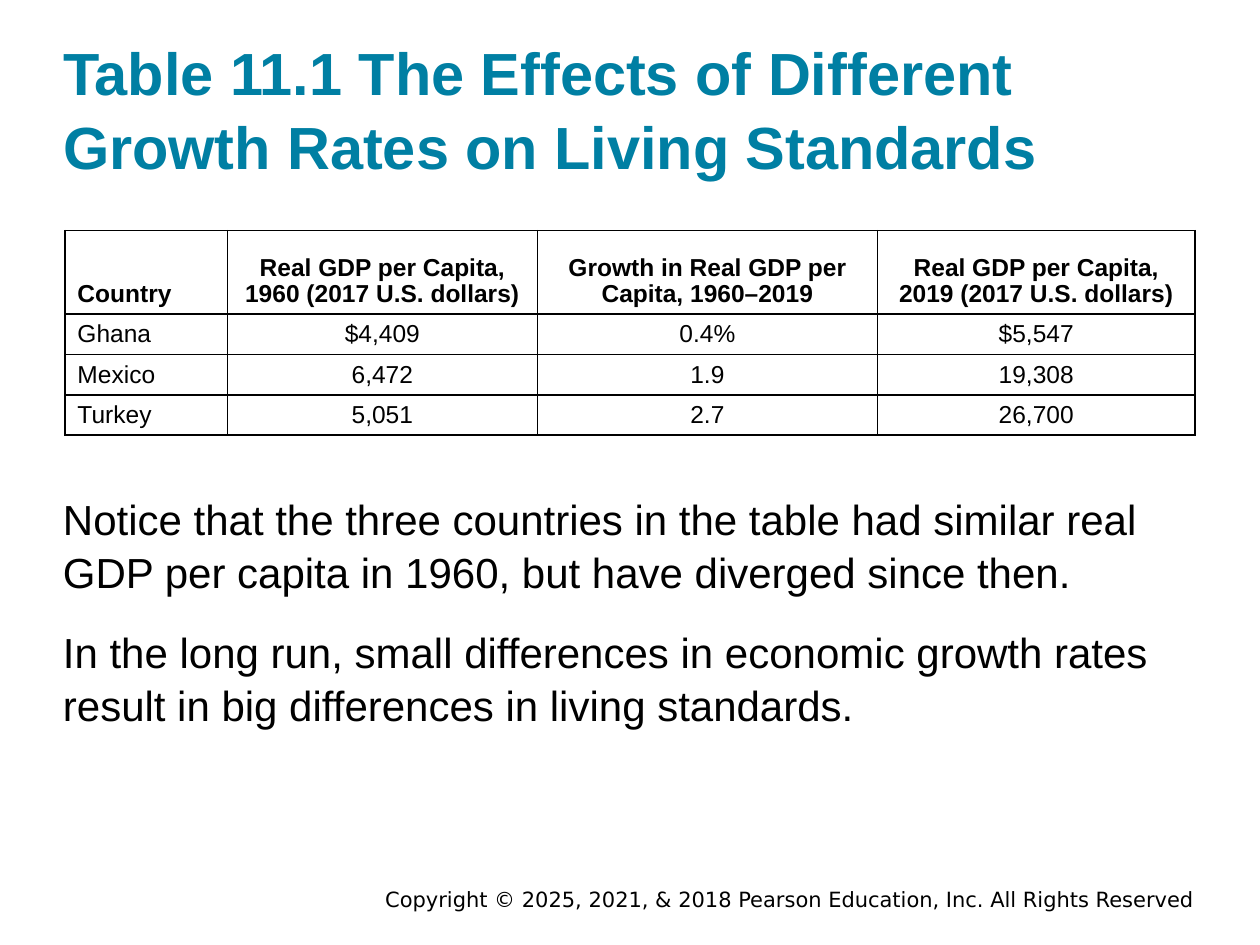
"""Build the slide comparing growth rates and living standards in three countries."""
from dataclasses import dataclass
from typing import Any

import pptx
import pptx.dml.color
import pptx.enum.text
import pptx.oxml
import pptx.oxml.ns
import pptx.util

ALIGN = pptx.enum.text.PP_ALIGN
ANCHOR = pptx.enum.text.MSO_ANCHOR
SLIDE_WIDTH = pptx.util.Inches(10)
SLIDE_HEIGHT = pptx.util.Inches(7.5)


@dataclass(frozen=True)
class TextStyle:
    size: float
    color: str
    font: str = "Arial"
    bold: bool = False
    align: Any = ALIGN.LEFT
    line_spacing: float = 1.0
    space_before: float = 0


@dataclass(frozen=True)
class Theme:
    ink: str = "000000"
    accent: str = "007FA3"
    title: TextStyle = TextStyle(34, accent, bold=True, line_spacing=1.04)
    body: TextStyle = TextStyle(24, ink, line_spacing=1.06, space_before=15)
    footer: TextStyle = TextStyle(12, ink, font="DejaVu Sans", align=ALIGN.RIGHT)
    table_size: float = 14
    header_spacing: float = 0.96
    border_width: float = 1


@dataclass(frozen=True)
class Area:
    """A rectangle in shares of the slide's width and height."""
    left: float
    top: float
    width: float
    height: float

    def lengths(self) -> tuple[int, int, int, int]:
        return (int(self.left * SLIDE_WIDTH), int(self.top * SLIDE_HEIGHT),
                int(self.width * SLIDE_WIDTH), int(self.height * SLIDE_HEIGHT))


@dataclass(frozen=True)
class CountryRow:
    country: str
    gdp_1960: str
    growth: str
    gdp_2019: str

    def texts(self) -> tuple[str, ...]:
        return self.country, self.gdp_1960, self.growth, self.gdp_2019


THEME = Theme()
TITLE_AREA = Area(0.05, 0.032, 0.9, 0.16)
TABLE_AREA = Area(0.0515, 0.244, 0.897, 0.217)
BODY_AREA = Area(0.05, 0.519, 0.884, 0.259)
FOOTER_AREA = Area(0.175, 0.937, 0.783, 0.03)
COLUMN_SHARES = (0.129, 0.246, 0.27, 0.252)
HEADER_SHARE, ROW_SHARE = 0.0885, 0.0427

TITLE = "Table 11.1 The Effects of Different Growth Rates on Living Standards"
ROWS = (
    CountryRow("Country", "Real GDP per Capita, 1960 (2017 U.S. dollars)",
               "Growth in Real GDP per Capita, 1960–2019",
               "Real GDP per Capita, 2019 (2017 U.S. dollars)"),
    CountryRow("Ghana", "$4,409", "0.4%", "$5,547"),
    CountryRow("Mexico", "6,472", "1.9", "19,308"),
    CountryRow("Turkey", "5,051", "2.7", "26,700"),
)
BODY = (
    "Notice that the three countries in the table had similar real GDP per capita in 1960, "
    "but have diverged since then.",
    "In the long run, small differences in economic growth rates result in big differences "
    "in living standards.",
)
FOOTER = "Copyright © 2025, 2021, & 2018 Pearson Education, Inc. All Rights Reserved"


def write_text(text_frame: Any, texts: tuple[str, ...], style: TextStyle) -> None:
    text_frame.text = "\n".join(texts)
    for index, paragraph in enumerate(text_frame.paragraphs):
        paragraph.alignment = style.align
        paragraph.line_spacing = style.line_spacing
        paragraph.space_before = pptx.util.Pt(style.space_before if index else 0)
        for run in paragraph.runs:
            run.font.name = style.font
            run.font.size = pptx.util.Pt(style.size)
            run.font.bold = style.bold
            run.font.color.rgb = pptx.dml.color.RGBColor.from_string(style.color)


def fill_box(shape: Any, area: Area, texts: tuple[str, ...], style: TextStyle,
             anchor: Any, margins: tuple[float, float] = (0, 0)) -> None:
    shape.left, shape.top, shape.width, shape.height = area.lengths()
    text_frame = shape.text_frame
    text_frame.word_wrap = True
    text_frame.auto_size = pptx.enum.text.MSO_AUTO_SIZE.NONE
    text_frame.vertical_anchor = anchor
    text_frame.margin_left = text_frame.margin_right = pptx.util.Inches(margins[0])
    text_frame.margin_top = text_frame.margin_bottom = pptx.util.Inches(margins[1])
    write_text(text_frame, texts, style)


def add_borders(cell: Any) -> None:
    properties = cell._tc.get_or_add_tcPr()
    width = pptx.util.Pt(THEME.border_width)
    for index, side in enumerate(("lnL", "lnR", "lnT", "lnB")):
        properties.insert(index, pptx.oxml.parse_xml(
            f'<a:{side} {pptx.oxml.ns.nsdecls("a")} w="{width}"><a:solidFill>'
            f'<a:srgbClr val="{THEME.ink}"/></a:solidFill></a:{side}>'))


def add_country_table(slide: Any) -> None:
    table = slide.shapes.add_table(len(ROWS), len(COLUMN_SHARES), *TABLE_AREA.lengths()).table
    table.horz_banding = False
    for column, share in zip(table.columns, COLUMN_SHARES):
        column.width = int(share * SLIDE_WIDTH)
    for row_index, country_row in enumerate(ROWS):
        header = row_index == 0
        table.rows[row_index].height = int((HEADER_SHARE if header else ROW_SHARE) * SLIDE_HEIGHT)
        for column_index, text in enumerate(country_row.texts()):
            cell = table.cell(row_index, column_index)
            cell.fill.background()
            cell.vertical_anchor = ANCHOR.BOTTOM if header else ANCHOR.TOP
            style = TextStyle(THEME.table_size, THEME.ink, bold=header,
                              align=ALIGN.CENTER if column_index else ALIGN.LEFT,
                              line_spacing=THEME.header_spacing if header else 1.0)
            write_text(cell.text_frame, (text,), style)
            add_borders(cell)


def main() -> None:
    presentation = pptx.Presentation()
    presentation.slide_width, presentation.slide_height = SLIDE_WIDTH, SLIDE_HEIGHT
    slide = presentation.slides.add_slide(presentation.slide_layouts[5])
    fill_box(slide.shapes.title, TITLE_AREA, (TITLE,), THEME.title, ANCHOR.BOTTOM)
    add_country_table(slide)
    body = slide.shapes.add_textbox(*BODY_AREA.lengths())
    fill_box(body, BODY_AREA, BODY, THEME.body, ANCHOR.TOP)
    footer = slide.shapes.add_textbox(*FOOTER_AREA.lengths())
    fill_box(footer, FOOTER_AREA, (FOOTER,), THEME.footer, ANCHOR.MIDDLE, (0.1, 0.05))
    presentation.save("out.pptx")


if __name__ == "__main__":
    main()
